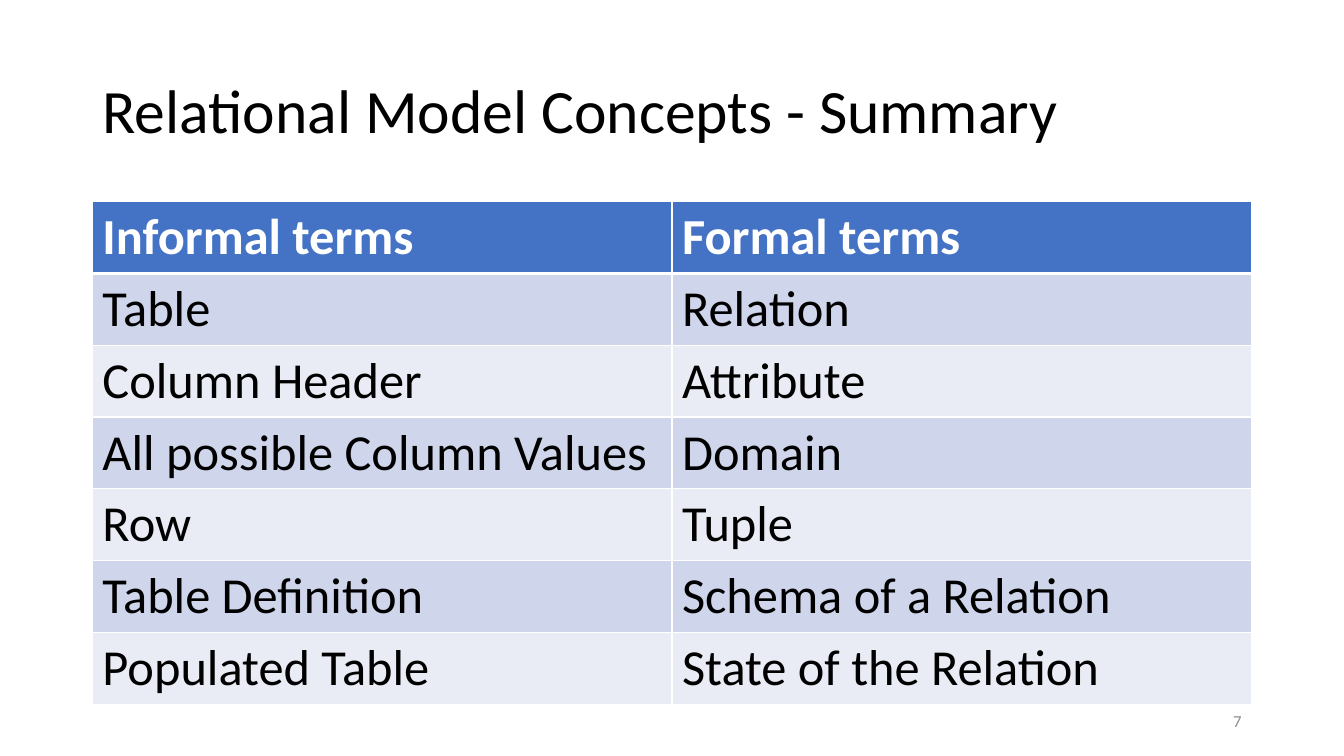
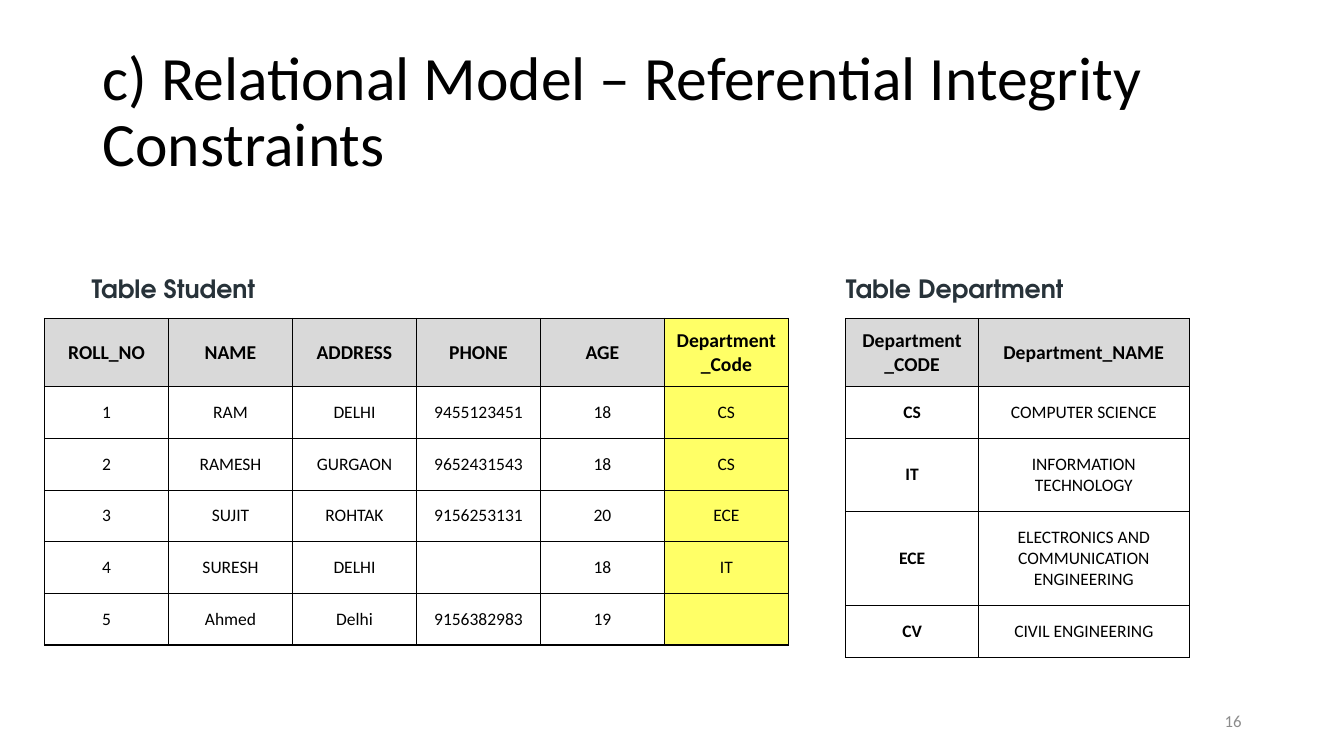
from dataclasses import dataclass

from lxml import etree
from pptx import Presentation
from pptx.dml.color import RGBColor
from pptx.enum.shapes import MSO_SHAPE
from pptx.enum.text import MSO_ANCHOR, MSO_AUTO_SIZE, PP_ALIGN
from pptx.oxml.ns import qn
from pptx.util import Emu, Inches, Pt

LEFT, CENTER, RIGHT = PP_ALIGN.LEFT, PP_ALIGN.CENTER, PP_ALIGN.RIGHT
TOP, MIDDLE = MSO_ANCHOR.TOP, MSO_ANCHOR.MIDDLE
RECTANGLE = MSO_SHAPE.RECTANGLE
NO_AUTOFIT = MSO_AUTO_SIZE.NONE

COLORS = {
    "white": "FFFFFF",
    "black": "000000",
    "blue": "4472C4",
    "band_dark": "CFD5EA",
    "band_light": "E9EBF5",
    "header_gray": "D9D9D9",
    "highlight": "FFFF66",
    "label": "273239",
    "number": "8C8C8C",
}
BODY_FONT = "Calibri"
LABEL_FONT = "TeX Gyre Adventor"

SLIDE_WIDTH, SLIDE_HEIGHT = Inches(13.33), Inches(7.5)
GRID_COLUMNS, GRID_ROWS = 160, 90


@dataclass(frozen=True)
class Area:
    column: float
    row: float
    columns: float
    rows: float


@dataclass(frozen=True)
class TableStyle:
    header_fill: str
    header_color: str
    body_fills: tuple[str | None, ...]
    border: str
    header_size: float
    body_size: float
    header_rule: float = 1
    align: PP_ALIGN = LEFT
    anchor: MSO_ANCHOR = TOP
    header_padding: float = 0.05
    body_padding: float = 0.05


@dataclass(frozen=True)
class Grid:
    column: float
    row: float
    widths: tuple[float, ...]
    heights: tuple[float, ...]
    cells: tuple[tuple[str, ...], ...]
    style: TableStyle
    bold_columns: tuple[int, ...] = ()
    highlight_columns: tuple[int, ...] = ()


@dataclass(frozen=True)
class Label:
    text: str
    area: Area


@dataclass(frozen=True)
class Page:
    title: str
    number: str
    grids: tuple[Grid, ...]
    labels: tuple[Label, ...] = ()


TITLE_AREA = Area(11, 4.8, 138, 17.4)
NUMBER_AREA = Area(113, 83.4, 36, 4.8)

TERMS_STYLE = TableStyle(
    "blue", "white", ("band_dark", "band_light"), "white", 36, 36, header_rule=3
)
RECORDS_STYLE = TableStyle(
    "header_gray", "black", (None,), "black", 14, 12.5,
    align=CENTER, anchor=MIDDLE, header_padding=0.1, body_padding=0.15,
)

TERMS = (
    ("Informal terms", "Formal terms"),
    ("Table", "Relation"),
    ("Column Header", "Attribute"),
    ("All possible Column Values", "Domain"),
    ("Row", "Tuple"),
    ("Table Definition", "Schema of a Relation"),
    ("Populated Table", "State of the Relation"),
)
STUDENTS = (
    ("ROLL_NO", "NAME", "ADDRESS", "PHONE", "AGE", "Department _Code"),
    ("1", "RAM", "DELHI", "9455123451", "18", "CS"),
    ("2", "RAMESH", "GURGAON", "9652431543", "18", "CS"),
    ("3", "SUJIT", "ROHTAK", "9156253131", "20", "ECE"),
    ("4", "SURESH", "DELHI", "", "18", "IT"),
    ("5", "Ahmed", "Delhi", "9156382983", "19", ""),
)
DEPARTMENTS = (
    ("Department\n_CODE", "Department_NAME"),
    ("CS", "COMPUTER SCIENCE"),
    ("IT", "INFORMATION TECHNOLOGY"),
    ("ECE", "ELECTRONICS AND COMMUNICATION ENGINEERING"),
    ("CV", "CIVIL ENGINEERING"),
)

PAGES = (
    Page(
        "Relational Model Concepts - Summary",
        "7",
        (Grid(11, 24, (69,) * 2, (8.54,) * 7, TERMS, TERMS_STYLE),),
    ),
    Page(
        "c) Relational Model – Referential Integrity Constraints",
        "16",
        (
            Grid(5.3, 37.9, (14.76,) * 6, (8.16,) + (6.05,) * 5, STUDENTS,
                 RECORDS_STYLE, highlight_columns=(5,)),
            Grid(100.7, 37.9, (15.75, 25.15), (8.16, 6, 8.5, 11.05, 6), DEPARTMENTS,
                 RECORDS_STYLE, bold_columns=(0,)),
        ),
        (
            Label("Table Student", Area(10.9, 32.5, 21.2, 3.6)),
            Label("Table Department", Area(100.7, 32.5, 40.9, 3.6)),
        ),
    ),
)


def across(columns: float) -> Emu:
    return Emu(round(SLIDE_WIDTH * columns / GRID_COLUMNS))


def down(rows: float) -> Emu:
    return Emu(round(SLIDE_HEIGHT * rows / GRID_ROWS))


def bounds(area: Area) -> tuple[Emu, Emu, Emu, Emu]:
    return across(area.column), down(area.row), across(area.columns), down(area.rows)


def color(name: str) -> RGBColor:
    return RGBColor.from_string(COLORS[name])


def write(frame, text: str, *, size: float, ink: str = "black", font: str = BODY_FONT,
          bold: bool = False, align: PP_ALIGN = LEFT, spacing: float = 1) -> None:
    frame.text = text
    for para in frame.paragraphs:
        para.alignment = align
        para.line_spacing = spacing
        for span in para.runs:
            span.font.name = font
            span.font.size = Pt(size)
            span.font.bold = bold
            span.font.color.rgb = color(ink)


def set_borders(cell, ink: str, top: float, bottom: float) -> None:
    properties = cell._tc.get_or_add_tcPr()
    weights = {"a:lnL": 1, "a:lnR": 1, "a:lnT": top, "a:lnB": bottom}
    for position, (tag, weight) in enumerate(weights.items()):
        line = etree.Element(qn(tag), w=str(Pt(weight)))
        fill = etree.SubElement(line, qn("a:solidFill"))
        etree.SubElement(fill, qn("a:srgbClr"), val=COLORS[ink])
        properties.insert(position, line)


def format_cell(cell, grid: Grid, row: int, column: int) -> None:
    style = grid.style
    header = row == 0
    fill = style.header_fill if header else style.body_fills[(row - 1) % len(style.body_fills)]
    if column in grid.highlight_columns:
        fill = "highlight"
    if fill:
        cell.fill.solid()
        cell.fill.fore_color.rgb = color(fill)
    else:
        cell.fill.background()
    set_borders(
        cell, style.border,
        top=style.header_rule if row == 1 else 1,
        bottom=style.header_rule if header else 1,
    )
    text = grid.cells[row][column]
    if not text:
        return
    padding = style.header_padding if header else style.body_padding
    cell.margin_top = cell.margin_bottom = Inches(padding)
    cell.margin_left = cell.margin_right = Inches(0.1)
    cell.vertical_anchor = style.anchor
    write(
        cell.text_frame, text,
        size=style.header_size if header else style.body_size,
        ink=style.header_color if header else "black",
        bold=header or column in grid.bold_columns,
        align=style.align,
    )


def draw_grid(slide, grid: Grid) -> None:
    area = Area(grid.column, grid.row, sum(grid.widths), sum(grid.heights))
    table = slide.shapes.add_table(len(grid.heights), len(grid.widths), *bounds(area)).table
    table.first_row = table.horz_banding = False
    for table_column, width in zip(table.columns, grid.widths):
        table_column.width = across(width)
    for table_row, height in zip(table.rows, grid.heights):
        table_row.height = down(height)
    for row in range(len(grid.heights)):
        for column in range(len(grid.widths)):
            format_cell(table.cell(row, column), grid, row, column)


def draw_title(slide, text: str) -> None:
    title = slide.shapes.title
    title.left, title.top, title.width, title.height = bounds(TITLE_AREA)
    frame = title.text_frame
    frame.auto_size = NO_AUTOFIT
    frame.vertical_anchor = MIDDLE
    write(frame, text, size=44, spacing=0.9)


def draw_label(slide, label: Label) -> None:
    box = slide.shapes.add_shape(RECTANGLE, *bounds(label.area))
    box.shadow.inherit = False
    box.fill.solid()
    box.fill.fore_color.rgb = color("white")
    box.line.fill.background()
    frame = box.text_frame
    frame.margin_left = frame.margin_right = frame.margin_top = frame.margin_bottom = 0
    frame.word_wrap = True
    frame.vertical_anchor = MIDDLE
    write(frame, label.text, size=18, ink="label", font=LABEL_FONT, bold=True)


def draw_number(slide, number: str) -> None:
    frame = slide.shapes.add_textbox(*bounds(NUMBER_AREA)).text_frame
    frame.word_wrap = True
    frame.vertical_anchor = MIDDLE
    write(frame, number, size=12, ink="number", align=RIGHT)


def draw_page(deck, page: Page) -> None:
    slide = deck.slides.add_slide(deck.slide_layouts.get_by_name("Title Only"))
    draw_title(slide, page.title)
    for grid in page.grids:
        draw_grid(slide, grid)
    for label in page.labels:
        draw_label(slide, label)
    draw_number(slide, page.number)


def main() -> None:
    deck = Presentation()
    deck.slide_width, deck.slide_height = SLIDE_WIDTH, SLIDE_HEIGHT
    for page in PAGES:
        draw_page(deck, page)
    deck.save("out.pptx")


if __name__ == "__main__":
    main()
